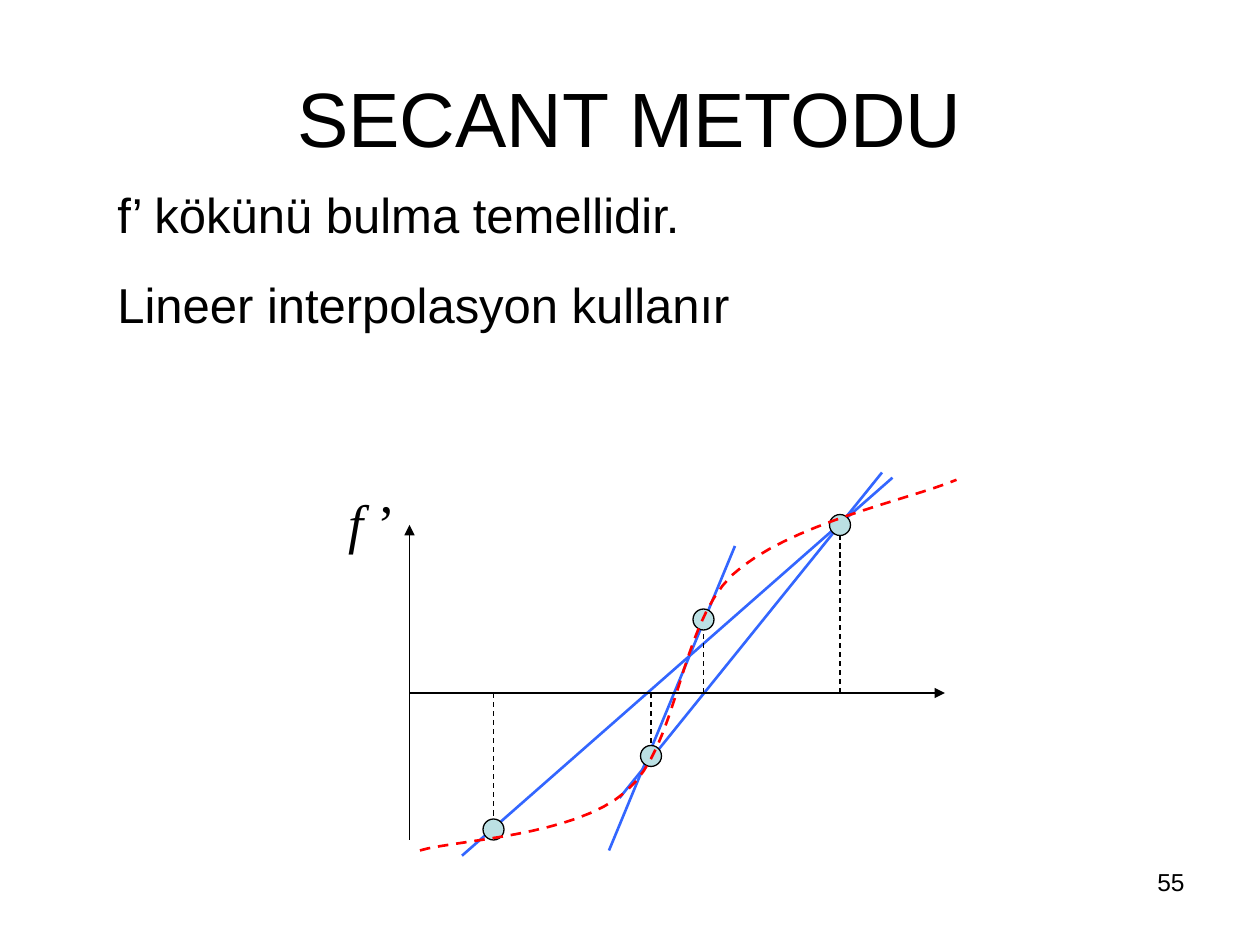
from pptx import Presentation
from pptx.dml.color import RGBColor
from pptx.enum.dml import MSO_LINE
from pptx.enum.shapes import MSO_CONNECTOR, MSO_SHAPE
from pptx.enum.text import MSO_ANCHOR, MSO_AUTO_SIZE, PP_ALIGN
from pptx.oxml.ns import qn
from pptx.util import Inches, Pt
from lxml import etree

STRAIGHT, OVAL, DASH = MSO_CONNECTOR.STRAIGHT, MSO_SHAPE.OVAL, MSO_LINE.DASH
LEFT, CENTER, RIGHT = PP_ALIGN.LEFT, PP_ALIGN.CENTER, PP_ALIGN.RIGHT
MIDDLE = MSO_ANCHOR.MIDDLE

BLACK = RGBColor(0x00, 0x00, 0x00)
SECANT_BLUE = RGBColor(0x33, 0x66, 0xFF)
CURVE_RED = RGBColor(0xFF, 0x00, 0x00)
POINT_FILL = RGBColor(0xBB, 0xE0, 0xE3)

CELL = Inches(1) / 12  # the slide is a grid of 120 columns by 90 rows

# Diagram data, in cells from the crossing of the axes (y grows downwards)
AXES = [((0, 14), (0, -16)), ((0, 0), (51, 0))]
POINTS = [(8, 13), (41, -16), (23, 6), (28, -7)]
SECANTS = [((20, 10), (45, -21)), ((19, 15), (31, -14)), ((5, 15.5), (46, -20.5))]
CURVE_START = (1, 15)
CURVE_BEZIERS = [
    ((4.3, 14), (15.7, 13.7), (20.6, 9.4)),
    ((25.7, 5), (25.6, -6.2), (30.7, -11.2)),
    ((36, -16.1), (47.6, -18.4), (52.1, -20.3)),
]
CURVE_STEPS = 16


def cells(*counts):
    return [round(count * CELL) for count in counts]


def style_text(paragraph, size, align=LEFT, font="Arial"):
    paragraph.alignment = align
    for run in paragraph.runs:
        run.font.name, run.font.size = font, Pt(size)
        run.font.color.rgb = BLACK


def add_title(slide, box, text):
    title = slide.shapes.title
    title.left, title.top, title.width, title.height = cells(*box)
    frame = title.text_frame
    frame.text = text
    frame.vertical_anchor = MIDDLE
    style_text(frame.paragraphs[0], 44, CENTER)


def add_text(slide, box, lines, size, align=LEFT, gap=0):
    frame = slide.shapes.add_textbox(*cells(*box)).text_frame
    frame.word_wrap = True
    frame.text = "\n".join(lines)
    for index, paragraph in enumerate(frame.paragraphs):
        style_text(paragraph, size, align)
        if index:
            paragraph.space_before = Pt(gap)


def add_line(slide, start, end, color, width, dashed=False, arrow=False):
    connector = slide.shapes.add_connector(STRAIGHT, *cells(*start, *end))
    connector.line.color.rgb = color
    connector.line.width = Pt(width)
    if dashed:
        connector.line.dash_style = DASH
    properties = connector._element.spPr
    if arrow:
        etree.SubElement(properties.find(qn("a:ln")), qn("a:tailEnd"), type="triangle")
    etree.SubElement(properties, qn("a:effectLst"))


def add_point(slide, center, size=2):
    x, y = center
    point = slide.shapes.add_shape(
        OVAL, *cells(x - size / 2, y - size / 2, size, size))
    point.shadow.inherit = False
    point.fill.solid()
    point.fill.fore_color.rgb = POINT_FILL
    point.line.color.rgb = BLACK
    point.line.width = Pt(0.75)


def bezier_points(start, segments):
    """Sample a chain of cubic Bezier segments, leaving out its start."""
    for first, second, end in segments:
        for step in range(1, CURVE_STEPS + 1):
            t = step / CURVE_STEPS
            u = 1 - t
            yield tuple(
                u**3 * a + 3 * u * u * t * b + 3 * u * t * t * c + t**3 * d
                for a, b, c, d in zip(start, first, second, end))
        start = end


def add_curve(slide, start, vertices):
    builder = slide.shapes.build_freeform(*cells(*start))
    builder.add_line_segments([cells(*vertex) for vertex in vertices], close=False)
    curve = builder.convert_to_shape()
    curve.shadow.inherit = False
    curve.fill.background()
    curve.line.color.rgb = CURVE_RED
    curve.line.width = Pt(1.5)
    curve.line.dash_style = DASH


def add_axis_label(slide, box):
    frame = slide.shapes.add_textbox(*cells(*box)).text_frame
    frame.word_wrap = False
    frame.auto_size = MSO_AUTO_SIZE.SHAPE_TO_FIT_TEXT
    label = frame.paragraphs[0]
    for text, italic in (("f ", True), ("’", False)):
        run = label.add_run()
        run.text = text
        run.font.italic = italic
    style_text(label, 31, CENTER, "Times New Roman")


def add_secant_diagram(slide, left, top):
    def at(point):
        return left + 7 + point[0], top + 21 + point[1]

    # Secants, drop lines to the x axis, then the axes
    for start, end in SECANTS:
        add_line(slide, at(start), at(end), SECANT_BLUE, 1.5)
    for x, y in POINTS:
        add_line(slide, at((x, 0)), at((x, y)), BLACK, 0.75, dashed=True)
    for start, end in AXES:
        add_line(slide, at(start), at(end), BLACK, 0.75, arrow=True)
    add_axis_label(slide, (left, top + 1, 6.84, 7.44))

    # Iteration points under the derivative's curve
    for point in POINTS:
        add_point(slide, at(point))
    add_curve(slide, at(CURVE_START),
              [at(p) for p in bezier_points(CURVE_START, CURVE_BEZIERS)])


def main():
    prs = Presentation()
    prs.slide_width, prs.slide_height = Inches(10), Inches(7.5)
    slide = prs.slides.add_slide(prs.slide_layouts[5])

    add_text(slide, (86, 82, 28, 6.25), ["55"], 14, RIGHT)
    add_title(slide, (6, 3.6, 108, 15), "SECANT METODU")
    add_text(slide, (10, 17, 81, 15.4),
             ["f’ kökünü bulma temellidir.", "Lineer interpolasyon kullanır"],
             28, gap=17.5)
    add_secant_diagram(slide, left=32, top=45)
    prs.save("out.pptx")


if __name__ == "__main__":
    main()
